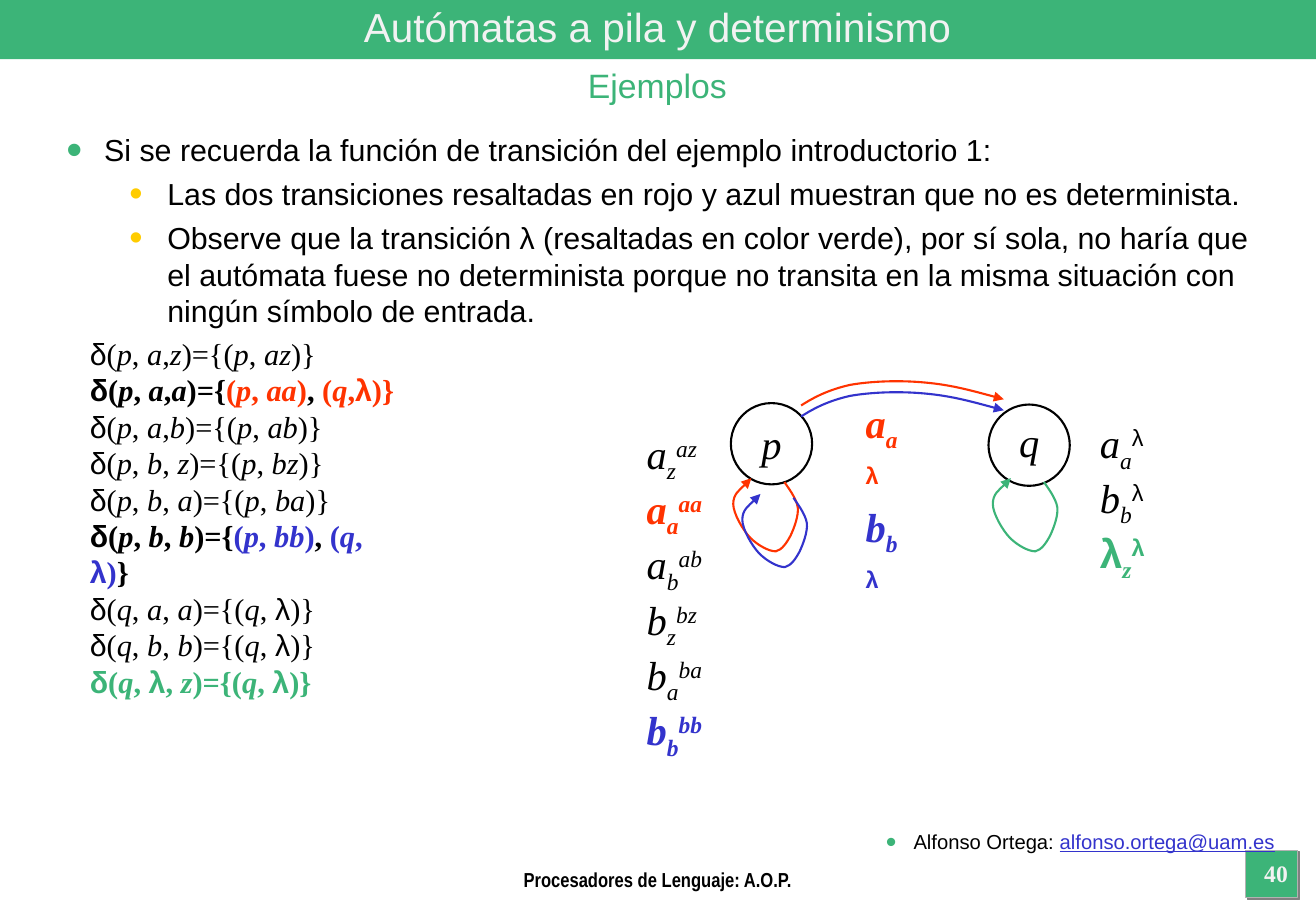
from dataclasses import dataclass
from itertools import groupby

from lxml import etree
from pptx import Presentation
from pptx import util as u
from pptx.dml.color import RGBColor
from pptx.enum import shapes, text
from pptx.oxml.ns import qn


@dataclass(frozen=True)
class Theme:
    green: str = "3CB478"
    red: str = "FF3300"
    blue: str = "3333CC"
    yellow: str = "FFCC00"
    black: str = "000000"
    pale: str = "F2F2F2"
    border: str = "B2B2B2"
    shade: str = "808080"
    sans: str = "Arial"
    narrow: str = "Arial Narrow"
    serif: str = "Times New Roman"
    title: float = 24
    subtitle: float = 20
    body: float = 18
    symbol: float = 24
    number: float = 14
    small: float = 12


T = Theme()
ALIGN = text.PP_ALIGN
SHAPE = shapes.MSO_SHAPE


def rgb(color):
    return RGBColor.from_string(color)


def child(parent, tag, **attrs):
    return etree.SubElement(parent, qn(tag), attrs)


class Deck:
    """Holds the theme and the current slide."""

    def __init__(self, theme, width, height):
        self.t = theme
        self.prs = Presentation()
        self.prs.slide_width, self.prs.slide_height = u.Cm(width), u.Cm(height)
        self.s = self.prs.slides.add_slide(self.prs.slide_layouts[6])

    def shape(self, kind, at, fill=None, line=None, width=1.25):
        sp = self.s.shapes.add_shape(kind, *map(u.Cm, at))
        self.paint(sp, fill, line, width)
        return sp

    def paint(self, sp, fill, line, width):
        sp.shadow.inherit = False
        if fill:
            sp.fill.solid()
            sp.fill.fore_color.rgb = rgb(fill)
        else:
            sp.fill.background()
        if line:
            sp.line.color.rgb = rgb(line)
            sp.line.width = u.Pt(width)
        else:
            sp.line.fill.background()

    def drop_shadow(self, sp, color):
        effects = sp.element.spPr.find(qn("a:effectLst"))
        shadow = child(effects, "a:outerShdw", dist=str(u.Pt(1.4)), dir="2700000")
        child(shadow, "a:srgbClr", val=color)

    def box(self, at, middle=False):
        tf = self.s.shapes.add_textbox(*map(u.Cm, at)).text_frame
        tf.word_wrap = True
        if middle:
            tf.vertical_anchor = text.MSO_ANCHOR.MIDDLE
        return tf

    def paragraph(self, tf, size, color=None, font=None, bold=None, italic=None,
                  align=None, spacing=None, words=None, bullet=None):
        """Fill the empty first paragraph, or add another one."""
        p = tf.paragraphs[0] if not tf.paragraphs[0].runs else tf.add_paragraph()
        if bullet:
            self.bullet(p, *bullet)
        if align is not None:
            p.alignment = align
        if spacing:
            p.line_spacing = u.Pt(spacing)
        p.font.size = u.Pt(size)
        p.font.name, p.font.bold, p.font.italic = font, bold, italic
        if color:
            p.font.color.rgb = rgb(color)
        if words:
            p.add_run().text = words
        return p

    def bullet(self, p, color, percent, left, hang):
        pPr = p._p.get_or_add_pPr()
        pPr.set("marL", str(u.Cm(left)))
        pPr.set("indent", str(-u.Cm(hang)))
        child(child(pPr, "a:buClr"), "a:srgbClr", val=color)
        child(pPr, "a:buSzPct", val=str(percent * 1000))
        child(pPr, "a:buFont", typeface=self.t.sans)
        child(pPr, "a:buChar", char="•")

    def math(self, p, formula, color=None, base=0):
        """Greek is upright sans, Latin letters italic serif, the rest upright serif."""
        def kind(c):
            return "greek" if c in "δλ" else "letter" if c.isalpha() else "sign"

        for name, chars in groupby(formula, kind):
            r = p.add_run()
            r.text = "".join(chars)
            r.font.name = self.t.sans if name == "greek" else self.t.serif
            r.font.italic = name == "letter"
            if color:
                r.font.color.rgb = rgb(color)
            if base:
                r.font._element.set("baseline", str(base * 1000))

    def symbols(self, at, rows, spacing):
        """Column of input symbols with stack top below and stack push above."""
        tf = self.box(at)
        for symbol, top, push, color, bold in rows:
            p = self.paragraph(tf, self.t.symbol, color, bold=bold, spacing=spacing)
            for part, base in ((symbol, 0), (top, -25), (push, 30)):
                self.math(p, part, base=base)

    def curved_arrow(self, start, offsets, color):
        """Cubic curve: every three offsets from the start make one segment."""
        x, y = start
        points = [(u.Cm(x + dx), u.Cm(y + dy)) for dx, dy in offsets]
        builder = self.s.shapes.build_freeform(u.Cm(x), u.Cm(y))
        builder.add_line_segments(points, close=False)
        sp = builder.convert_to_shape()
        self.paint(sp, None, color, 1.25)
        outline = next(sp.element.iter(qn("a:path")))
        lines = outline.findall(qn("a:lnTo"))
        for i in range(0, len(lines), 3):
            curve = child(outline, "a:cubicBezTo")
            for ln in lines[i:i + 3]:
                curve.append(ln[0])
                outline.remove(ln)
        child(sp.element.spPr.find(qn("a:ln")), "a:tailEnd", type="triangle")


ARC = [(.28, -.18), (.58, -.33), (1.02, -.43), (1.47, -.51), (2.06, -.53),
       (2.59, -.48), (3.15, -.43), (3.68, -.28), (4.24, -.13)]
LOOP = [(.05, .08), (.25, .33), (.28, .53), (.3, .71), (.2, .97), (.13, 1.12),
        (.05, 1.27), (-.05, 1.42), (-.18, 1.45), (-.33, 1.45), (-.56, 1.32),
        (-.71, 1.17), (-.86, 1.02), (-1.07, .66), (-1.07, .46), (-1.07, .25),
        (-.79, .03), (-.69, -.08)]

BULLETS = [
    (T.green, 150, .79, "Si se recuerda la función de transición del ejemplo introductorio 1:"),
    (T.yellow, 125, 2.11, "Las dos transiciones resaltadas en rojo y azul muestran que no es determinista."),
    (T.yellow, 125, 2.11, "Observe que la transición λ (resaltadas en color verde), por sí sola, no haría que "
     "el autómata fuese no determinista porque no transita en la misma situación con "
     "ningún símbolo de entrada."),
]

# Each transition is a list of (formula, colour); coloured ones are bold
TRANSITIONS = [
    [("δ(p, a,z)={(p, az)}", None)],
    [("δ(p, a,a)={", T.black), ("(p, aa)", T.red), (", ", T.black), ("(q,λ)}", T.red)],
    [("δ(p, a,b)={(p, ab)}", None)],
    [("δ(p, b, z)={(p, bz)}", None)],
    [("δ(p, b, a)={(p, ba)}", None)],
    [("δ(p, b, b)={", T.black), ("(p, bb)", T.blue), (", ", T.black), ("(q, λ)", T.blue), ("}", T.black)],
    [("δ(q, a, a)={(q, λ)}", None)],
    [("δ(q, b, b)={(q, λ)}", None)],
    [("δ(q, λ, z)={(q, λ)}", T.green)],
]
P_LOOP = [("a", "z", "az", T.black, False), ("a", "a", "aa", T.red, True),
          ("a", "b", "ab", T.black, False), ("b", "z", "bz", T.black, False),
          ("b", "a", "ba", T.black, False), ("b", "b", "bb", T.blue, True)]
P_TO_Q = [("a", "a", "λ", T.red, True), ("b", "b", "λ", T.blue, True)]
Q_LOOP = [("a", "a", "λ", T.black, False), ("b", "b", "λ", T.black, False),
          ("λ", "z", "λ", T.green, True)]


def main():
    d = Deck(T, 27.53, 19.05)

    # Frame: page number square, title band, author
    square = d.shape(SHAPE.RECTANGLE, (26.06, 17.78, 1.09, .99), T.green, T.border, .75)
    d.drop_shadow(square, T.shade)
    d.shape(SHAPE.RECTANGLE, (0, 0, 27.53, 1.24), T.green)
    author = d.paragraph(d.box((7.67, 17.22, 19.25, 1.12)), T.small, font=T.sans,
                         align=ALIGN.RIGHT, bullet=(T.green, 150, .58, .58))
    for words, color in (("Alfonso Ortega: ", T.black), ("alfonso.ortega@uam.es", T.blue)):
        r = author.add_run()
        r.text = words
        r.font.color.rgb = rgb(color)
        r.font.underline = color == T.blue

    # Headings
    d.paragraph(d.box((0, 0, 27.51, 1.12), middle=True), T.title, T.pale, T.sans,
                align=ALIGN.CENTER, words="Autómatas a pila y determinismo")
    d.paragraph(d.box((0, 1.24, 27.51, 1.12)), T.subtitle, T.green, T.sans,
                align=ALIGN.CENTER, words="Ejemplos")

    # Explanation
    tf = d.box((1.14, 2.62, 25.3, 4.4))
    for i, (color, percent, left, words) in enumerate(BULLETS):
        p = d.paragraph(tf, T.body, T.black, T.sans, spacing=21.6, words=words,
                        bullet=(color, percent, left, .79))
        if i:
            p.space_before = u.Pt(4.5)

    # Transition function
    tf = d.box((1.63, 6.88, 7.11, 7.11))
    for parts in TRANSITIONS:
        p = d.paragraph(tf, T.body, bold=parts[0][1] is not None, spacing=21.6)
        for formula, color in parts:
            d.math(p, formula, color or T.black)

    # States
    for name, x, y, label_y in (("p", 15.29, 8.43, 8.64), ("q", 20.68, 8.46, 8.59)):
        d.shape(SHAPE.OVAL, (x, y, 1.7, 1.7), line=T.black)
        d.paragraph(d.box((x + .15, label_y, 1.4, 1.27)), T.symbol, T.black, T.serif,
                    italic=True, align=ALIGN.CENTER, words=name)

    # Arrows
    d.curved_arrow((16.76, 8.71), ARC, T.blue)
    d.curved_arrow((16.41, 10.08), LOOP, T.red)
    d.curved_arrow((21.84, 10.08), LOOP, T.green)
    d.curved_arrow((16.6, 10.41), LOOP, T.blue)
    d.curved_arrow((16.76, 8.48), ARC, T.red)

    # Arrow labels
    d.symbols((13.28, 8.84, 1.9, 7.19), P_LOOP, 32.8)
    d.symbols((22.76, 8.64, 1.7, 3.73), Q_LOOP, 32.4)
    d.symbols((17.86, 8.26, 1.38, 4.3), P_TO_Q, 30.8)

    # Footer
    d.paragraph(d.box((7.65, 18.01, 12.22, .46)), T.small, T.black, T.narrow, bold=True,
                align=ALIGN.CENTER, words="Procesadores de Lenguaje: A.O.P.")
    d.paragraph(d.box((26.01, 17.83, 1.37, .89)), T.number, T.pale, T.serif, bold=True,
                align=ALIGN.CENTER, words="40")

    d.prs.save("out.pptx")


if __name__ == "__main__":
    main()
